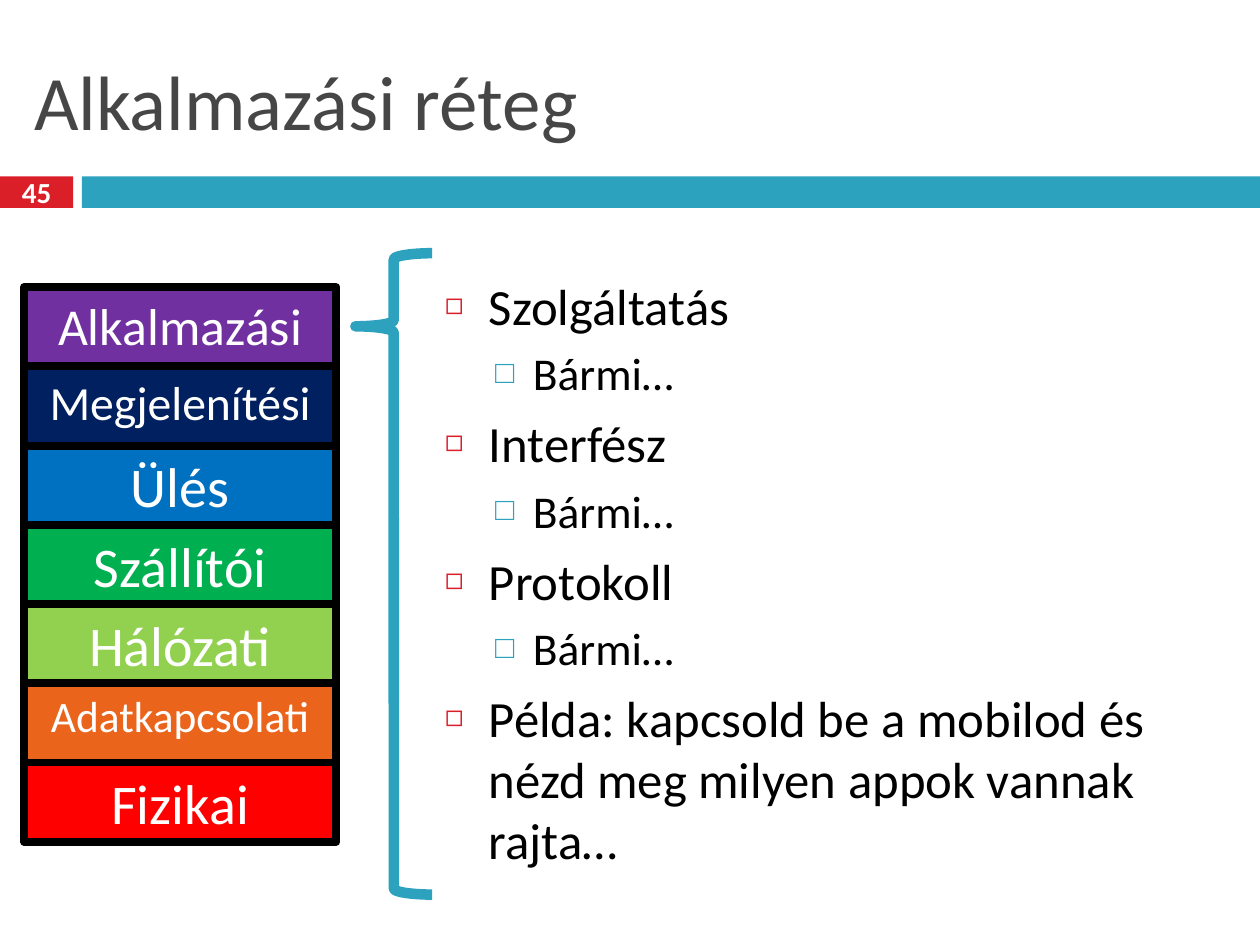
import pptx
import pptx.dml.color
import pptx.enum.shapes
import pptx.enum.text
import pptx.oxml.ns
import pptx.util
from lxml import etree

Inches = pptx.util.Inches
Pt = pptx.util.Pt
SHAPES = pptx.enum.shapes.MSO_SHAPE
ALIGN = pptx.enum.text.PP_ALIGN
ANCHOR = pptx.enum.text.MSO_ANCHOR

FONT = "Calibri"
TEAL = "2DA2BF"
CRIMSON = "DA1F28"
LAYERS = [
    ("Alkalmazási", "7030A0", 29.6),
    ("Megjelenítési", "002060", 27.2),
    ("Ülés", "0070C0", 32),
    ("Szállítói", "00B050", 32),
    ("Hálózati", "92D050", 32),
    ("Adatkapcsolati", "EB641B", 24.8),
    ("Fizikai", "FF0000", 32),
]
POINTS = [
    (0, "Szolgáltatás"),
    (1, "Bármi…"),
    (0, "Interfész"),
    (1, "Bármi…"),
    (0, "Protokoll"),
    (1, "Bármi…"),
    (0, "Példa: kapcsold be a mobilod és nézd meg milyen appok vannak rajta…"),
]
LEVELS = [
    dict(indent=(0.35, -0.35), before=7, bullet="◻", color=CRIMSON, percent=60, size=29),
    dict(indent=(0.7, -0.3), before=5.5, bullet="□", color=TEAL, percent=70, size=26),
]


def rgb(value):
    """Turn a hex string into a colour."""
    return pptx.dml.color.RGBColor.from_string(value)


def place(shape, left, top, width, height):
    """Move a shape to a box given in inches."""
    shape.left, shape.top = Inches(left), Inches(top)
    shape.width, shape.height = Inches(width), Inches(height)


def add_block(slide, kind, box, fill=None, line=None, line_width=0):
    """Add a preset shape with plain fill and line."""
    shape = slide.shapes.add_shape(kind, *map(Inches, box))
    shape.shadow.inherit = False
    if fill:
        shape.fill.solid()
        shape.fill.fore_color.rgb = rgb(fill)
    else:
        shape.fill.background()
    if line:
        shape.line.color.rgb = rgb(line)
        shape.line.width = Pt(line_width)
    else:
        shape.line.fill.background()
    return shape


def format_runs(paragraph, size, color, bold=False):
    """Set the font of every run in a paragraph."""
    for run in paragraph.runs:
        run.font.name = FONT
        run.font.size = Pt(size)
        run.font.bold = bold
        run.font.color.rgb = rgb(color)


def set_bullet(paragraph, indent, bullet, color, percent):
    """Give a paragraph its indents and a coloured bullet."""
    properties = paragraph._p.get_or_add_pPr()
    properties.set("marL", str(Inches(indent[0])))
    properties.set("indent", str(Inches(indent[1])))
    qn = pptx.oxml.ns.qn
    bullet_color = etree.SubElement(properties, qn("a:buClr"))
    etree.SubElement(bullet_color, qn("a:srgbClr"), val=color)
    etree.SubElement(properties, qn("a:buSzPct"), val=str(percent * 1000))
    etree.SubElement(properties, qn("a:buChar"), char=bullet)


def add_header_band(slide, left, top, width, height):
    """Draw the number tab and the bar beside it."""
    tab_width, bar_offset = 0.58, 0.65
    tab = add_block(slide, SHAPES.RECTANGLE, (left, top, tab_width, height), CRIMSON)
    bar_box = (left + bar_offset, top, width - bar_offset, height)
    add_block(slide, SHAPES.RECTANGLE, bar_box, TEAL)
    frame = tab.text_frame
    frame.margin_top = frame.margin_bottom = 0
    frame.vertical_anchor = ANCHOR.MIDDLE
    frame.text = "45"
    frame.paragraphs[0].alignment = ALIGN.CENTER
    format_runs(frame.paragraphs[0], 16.6, "FFFFFF", bold=True)


def fill_title(slide, left, top, width, height):
    """Place and format the title."""
    title = slide.shapes.title
    place(title, left, top, width, height)
    frame = title.text_frame
    frame.text = "Alkalmazási réteg"
    frame.vertical_anchor = ANCHOR.MIDDLE
    frame.paragraphs[0].alignment = ALIGN.LEFT
    format_runs(frame.paragraphs[0], 44, "464646")


def fill_body(slide, left, top, width, height):
    """Place and fill the two-level list."""
    body = slide.placeholders[1]
    place(body, left, top, width, height)
    frame = body.text_frame
    frame.text = "\n".join(text for _, text in POINTS)
    frame.auto_size = pptx.enum.text.MSO_AUTO_SIZE.NONE
    frame.vertical_anchor = ANCHOR.MIDDLE
    for index, (paragraph, (level, _)) in enumerate(zip(frame.paragraphs, POINTS)):
        style = LEVELS[level]
        paragraph.level = level
        set_bullet(paragraph, style["indent"], style["bullet"], style["color"], style["percent"])
        paragraph.space_before = Pt(style["before"] if index else 0)
        format_runs(paragraph, style["size"], "000000")


def add_layer_stack(slide, left, top, width, height):
    """Stack the labelled layers in equal rows."""
    row_height = height / len(LAYERS)
    for index, (name, color, size) in enumerate(LAYERS):
        box = (left, top + index * row_height, width, row_height)
        layer = add_block(slide, SHAPES.RECTANGLE, box, color, "000000", 4.5)
        frame = layer.text_frame
        frame.word_wrap = True
        frame.vertical_anchor = ANCHOR.TOP
        frame.text = name
        frame.paragraphs[0].alignment = ALIGN.CENTER
        format_runs(frame.paragraphs[0], size, "FFFFFF")


def add_brace(slide, left, top, width, height):
    """Draw the brace that opens from the top layer to the list."""
    box = (left, top, width, height)
    brace = add_block(slide, SHAPES.LEFT_BRACE, box, line=TEAL, line_width=6)
    brace.adjustments[0] = 0.08
    brace.adjustments[1] = 0.114


def main():
    """Build and save the slide."""
    presentation = pptx.Presentation()
    presentation.slide_width = Inches(10)
    presentation.slide_height = Inches(7.5)
    slide = presentation.slides.add_slide(presentation.slide_layouts[1])
    add_header_band(slide, 0, 1.4, 10, 0.25)
    fill_title(slide, 0.17, 0.25, 9.67, 1.08)
    fill_body(slide, 3.43, 1.75, 6.4, 5.58)
    add_brace(slide, 2.82, 2.01, 0.61, 5.09)
    add_layer_stack(slide, 0.19, 2.28, 2.48, 4.4)
    presentation.save("out.pptx")


if __name__ == "__main__":
    main()
